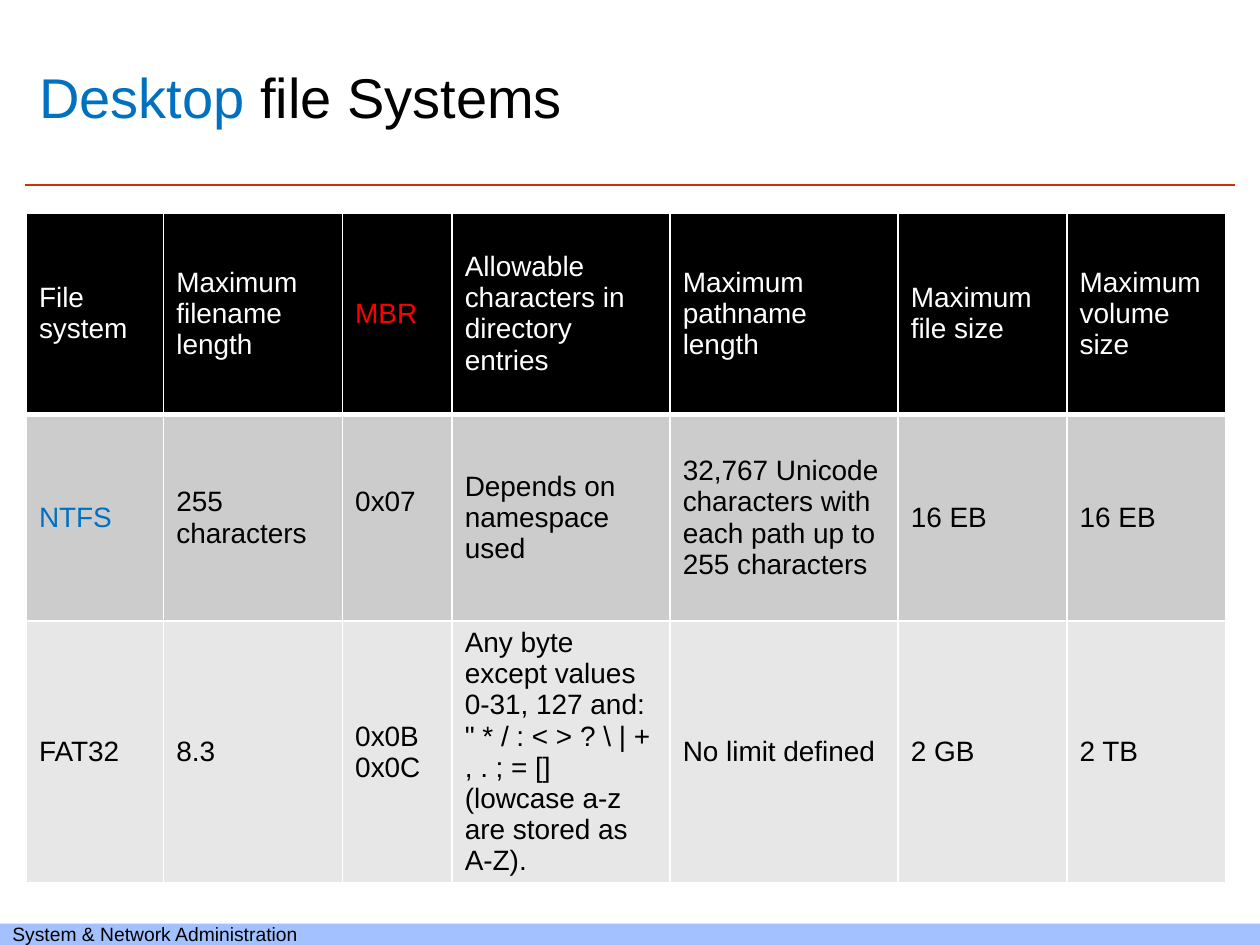
"""Build a slide that compares two file systems in a table."""
from dataclasses import dataclass
from typing import Any

import pptx
import pptx.dml.color
import pptx.enum.shapes
import pptx.enum.text
import pptx.oxml
import pptx.oxml.ns
import pptx.util

Inches = pptx.util.Inches
MIDDLE = pptx.enum.text.MSO_ANCHOR.MIDDLE
LEFT = pptx.enum.text.PP_ALIGN.LEFT


@dataclass(frozen=True)
class Theme:
    font: str = "Arial"
    black: str = "000000"
    white: str = "FFFFFF"
    blue: str = "0070C0"
    red: str = "FF0000"
    rule: str = "CC3300"
    footer: str = "A2C1FE"
    row_fills: tuple[str, ...] = ("000000", "CCCCCC", "E7E7E7")
    title_size: float = 32
    table_size: float = 16
    footer_size: float = 11
    thin: float = 1
    thick: float = 3


@dataclass(frozen=True)
class Entry:
    text: str
    color: str = ""
    bottom: float = 0.05


THEME = Theme()
COLUMN_WIDTHS = (1.09, 1.42, 0.87, 1.73, 1.81, 1.34, 1.26)
ROW_HEIGHTS = (1.6, 1.64, 2.07)
ROWS = (
    (Entry("File system"), Entry("Maximum filename length"), Entry("MBR", THEME.red),
     Entry("Allowable characters in directory entries"), Entry("Maximum pathname length"),
     Entry("Maximum file size"), Entry("Maximum volume size")),
    (Entry("NTFS", THEME.blue), Entry("255 characters"), Entry("0x07", bottom=0.3),
     Entry("Depends on namespace used"),
     Entry("32,767 Unicode characters with each path up to 255 characters"),
     Entry("16 EB"), Entry("16 EB")),
    (Entry("FAT32"), Entry("8.3"), Entry("0x0B 0x0C"),
     Entry('Any byte except values 0-31, 127 and: " * / : < > ? \\ | + , . ; = [] '
           "(lowcase a-z are stored as A-Z)."),
     Entry("No limit defined"), Entry("2 GB"), Entry("2 TB")),
)


def rgb(color: str) -> pptx.dml.color.RGBColor:
    return pptx.dml.color.RGBColor.from_string(color)


def apply_format(target: Any, values: dict[str, Any]) -> None:
    for name, value in values.items():
        setattr(target, name, value)


def add_run(paragraph: Any, text: str, size: float, color: str) -> None:
    run = paragraph.add_run()
    run.text = text
    apply_format(run.font, {"name": THEME.font, "size": pptx.util.Pt(size), "bold": False})
    run.font.color.rgb = rgb(color)


def add_border(cell: Any, side: str, width: float) -> None:
    namespace = pptx.oxml.ns.nsdecls("a")
    cell._tc.get_or_add_tcPr().append(pptx.oxml.parse_xml(
        f'<a:ln{side} {namespace} w="{pptx.util.Pt(width)}"><a:solidFill>'
        f'<a:srgbClr val="{THEME.white}"/></a:solidFill></a:ln{side}>'))


def draw_footer(slide: Any) -> None:
    shape = slide.shapes.add_shape(pptx.enum.shapes.MSO_SHAPE.RECTANGLE,
                                   Inches(0), Inches(7.33), Inches(10), Inches(0.17))
    shape.shadow.inherit = False
    shape.fill.solid()
    shape.fill.fore_color.rgb = rgb(THEME.footer)
    shape.line.fill.background()
    apply_format(shape.text_frame, {
        "word_wrap": True, "vertical_anchor": MIDDLE, "margin_left": Inches(0.1),
        "margin_top": 0, "margin_bottom": 0})
    paragraph = shape.text_frame.paragraphs[0]
    paragraph.alignment = LEFT
    add_run(paragraph, "System & Network Administration", THEME.footer_size, THEME.black)


def draw_rule(slide: Any) -> None:
    connector = slide.shapes.add_connector(pptx.enum.shapes.MSO_CONNECTOR.STRAIGHT,
                                           Inches(0.2), Inches(1.47), Inches(9.8), Inches(1.47))
    connector.line.color.rgb = rgb(THEME.rule)
    connector.line.width = pptx.util.Pt(1.5)
    connector._element.spPr.append(pptx.oxml.parse_xml(
        f'<a:effectLst {pptx.oxml.ns.nsdecls("a")}/>'))


def draw_title(slide: Any) -> None:
    title = slide.shapes.title
    apply_format(title, {"left": Inches(0.21), "top": Inches(0.2),
                         "width": Inches(7.19), "height": Inches(1.12)})
    apply_format(title.text_frame, {"word_wrap": True, "vertical_anchor": MIDDLE})
    paragraph = title.text_frame.paragraphs[0]
    paragraph.alignment = LEFT
    add_run(paragraph, "Desktop", THEME.title_size, THEME.blue)
    add_run(paragraph, " file Systems", THEME.title_size, THEME.black)


def fill_cell(cell: Any, entry: Entry, is_header: bool, fill: str) -> None:
    apply_format(cell, {
        "vertical_anchor": MIDDLE, "margin_left": Inches(0.1), "margin_right": Inches(0.1),
        "margin_top": Inches(0.05), "margin_bottom": Inches(entry.bottom)})
    for side in "LRTB":
        add_border(cell, side, THEME.thick if is_header and side == "B" else THEME.thin)
    cell.fill.solid()
    cell.fill.fore_color.rgb = rgb(fill)
    color = entry.color or (THEME.white if is_header else THEME.black)
    add_run(cell.text_frame.paragraphs[0], entry.text, THEME.table_size, color)


def draw_table(slide: Any) -> None:
    table = slide.shapes.add_table(
        len(ROWS), len(COLUMN_WIDTHS), Inches(0.21), Inches(1.69),
        Inches(sum(COLUMN_WIDTHS)), Inches(sum(ROW_HEIGHTS))).table
    for column, width in zip(table.columns, COLUMN_WIDTHS):
        column.width = Inches(width)
    for index, (row, height) in enumerate(zip(table.rows, ROW_HEIGHTS)):
        row.height = Inches(height)
        for cell, entry in zip(row.cells, ROWS[index]):
            fill_cell(cell, entry, index == 0, THEME.row_fills[index])


def main() -> None:
    presentation = pptx.Presentation()
    apply_format(presentation, {"slide_width": Inches(10), "slide_height": Inches(7.5)})
    slide = presentation.slides.add_slide(presentation.slide_layouts[5])
    for draw in (draw_footer, draw_rule, draw_title, draw_table):
        draw(slide)
    presentation.save("out.pptx")


if __name__ == "__main__":
    main()
